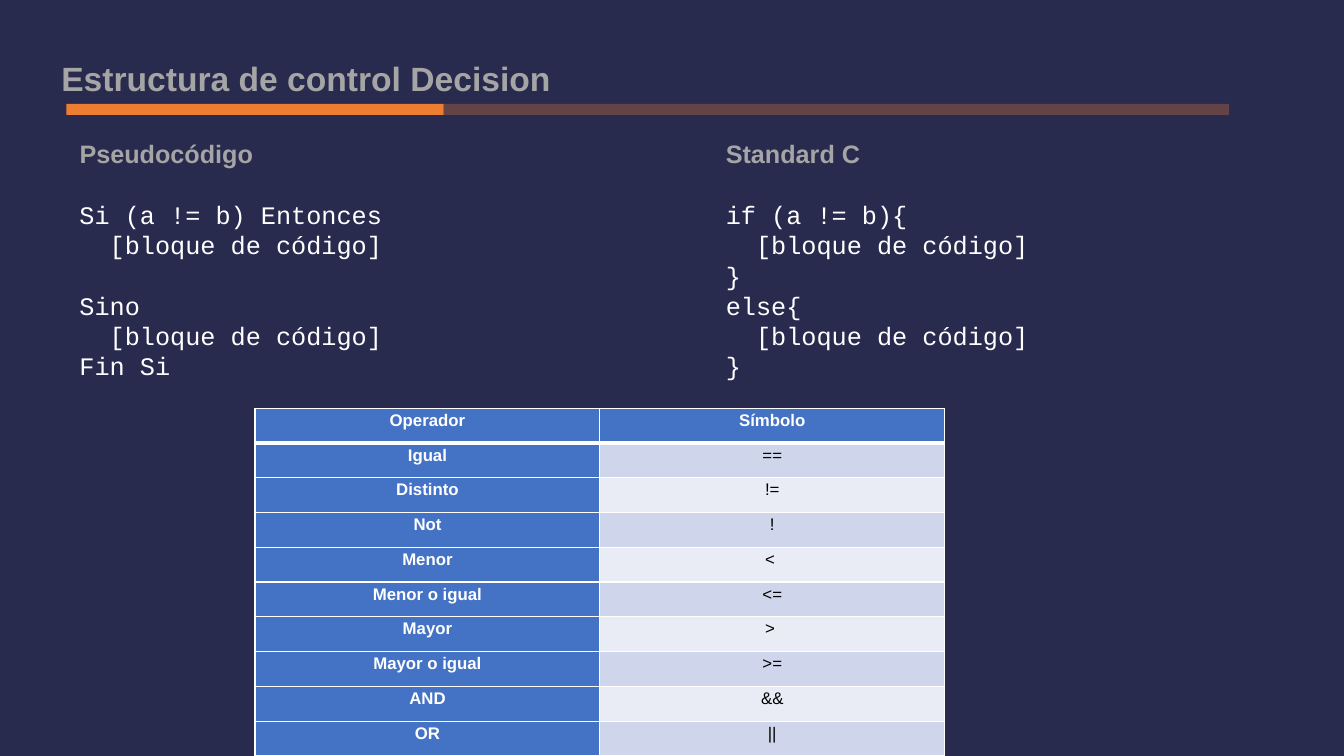
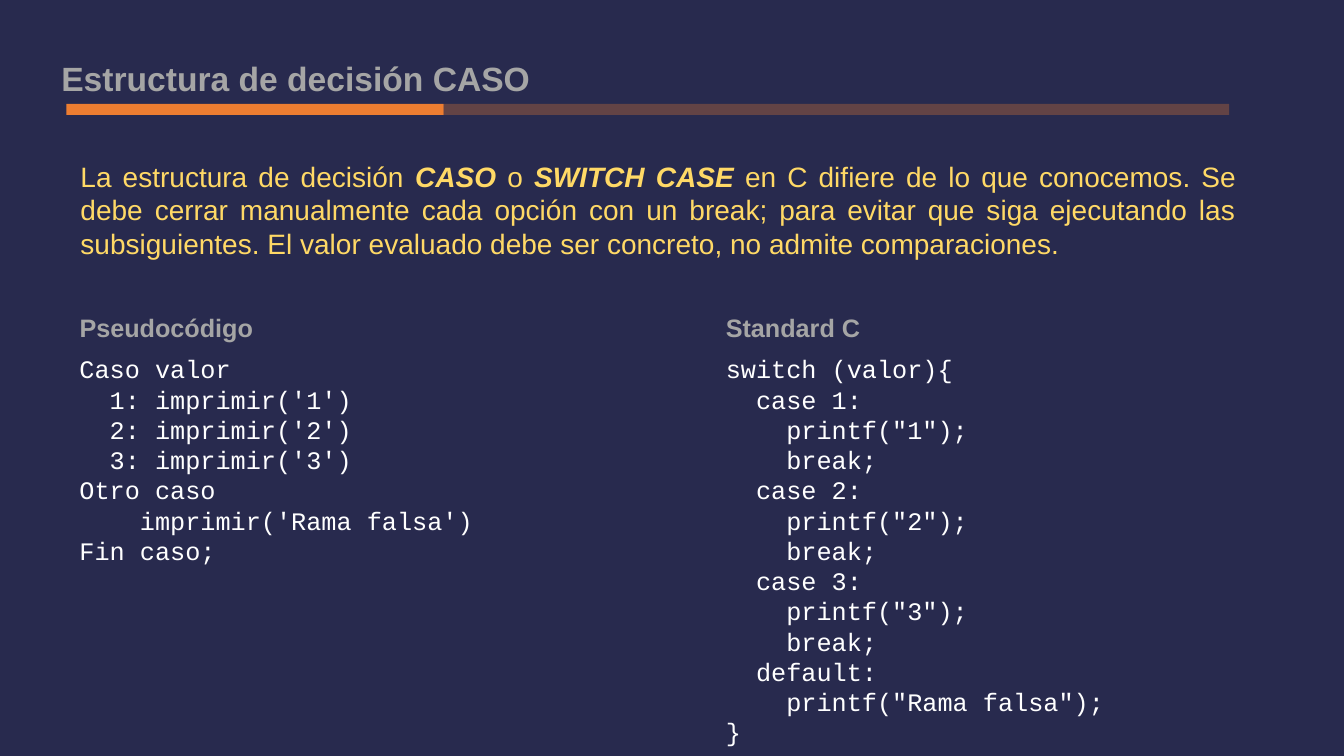
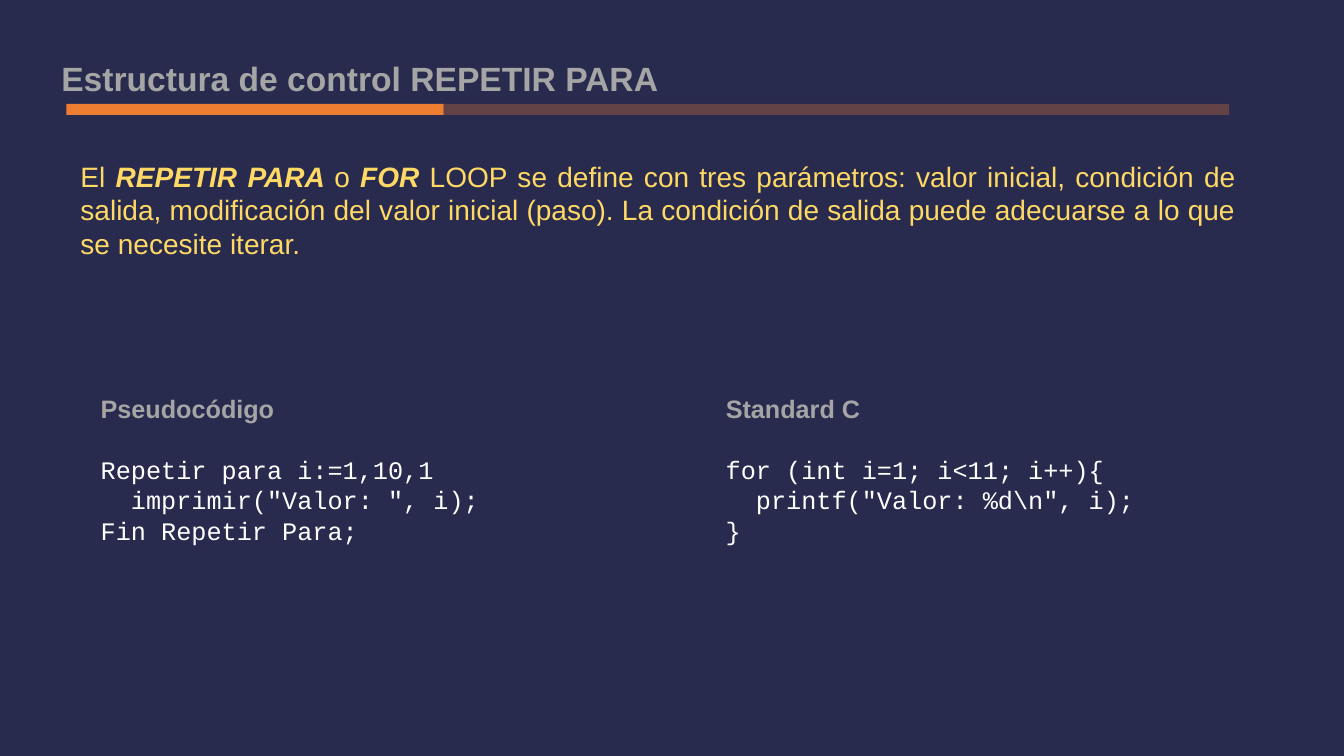
from dataclasses import dataclass

import pptx
import pptx.dml.color
import pptx.enum.shapes
import pptx.enum.text
import pptx.oxml
import pptx.oxml.ns
import pptx.util
from pptx.util import Inches, Pt

COLORS = {
    "background": "282A4E",
    "heading": "A5A5A5",
    "accent": "ED7D31",
    "intro": "FFD966",
    "white": "FFFFFF",
    "black": "000000",
    "table_head": "4472C4",
    "band_dark": "CFD5EA",
    "band_light": "E9EBF5",
}
SANS, MONO = "Arial", "Courier New"
CODE_SIZE = 18
CHAR_WIDTH = 0.15  # one monospaced character at CODE_SIZE, in inches
LINE_HEIGHT = 0.3
OPERATORS = [
    ("Operador", "Símbolo"),
    ("Igual", "=="),
    ("Distinto", "!="),
    ("Not", "!"),
    ("Menor", "< "),
    ("Menor o igual", "<="),
    ("Mayor", "> "),
    ("Mayor o igual", ">="),
    ("AND", "&&"),
    ("OR", "||"),
]


@dataclass
class Listing:
    """A column of code; leading spaces and empty lines in code become indents and gaps."""
    heading: str
    left: float
    width: float
    code: str


@dataclass
class Topic:
    title: str
    heading_top: float
    code_top: float
    listings: list[Listing]
    intro: str = ""  # parts between asterisks are emphasised


TOPICS = [
    Topic("Estructura de control Decision", 1.32, 1.93, [
        Listing("Pseudocódigo", 0.69, 5.36, """\
Si (a != b) Entonces
  [bloque de código]

Sino
  [bloque de código]
Fin Si"""),
        Listing("Standard C", 7.1, 5.52, """\
if (a != b){
  [bloque de código]
}
else{
  [bloque de código]
}"""),
    ]),
    Topic("Estructura de decisión CASO", 3.05, 3.46, [
        Listing("Pseudocódigo", 0.69, 5.36, """\
Caso valor
  1: imprimir('1')
  2: imprimir('2')
  3: imprimir('3')
Otro caso
    imprimir('Rama falsa')
Fin caso;"""),
        Listing("Standard C", 7.1, 5.52, """\
switch (valor){
  case 1:
    printf("1");
    break;
  case 2:
    printf("2");
    break;
  case 3:
    printf("3");
    break;
  default:
    printf("Rama falsa");
}"""),
    ], "La estructura de decisión *CASO* o *SWITCH CASE *en C difiere de lo que conocemos. "
       "Se debe cerrar manualmente cada opción con un break; para evitar que siga ejecutando "
       "las subsiguientes. El valor evaluado debe ser concreto, no admite comparaciones."),
    Topic("Estructura de control REPETIR PARA", 3.85, 4.46, [
        Listing("Pseudocódigo", 0.9, 5.91, """\
Repetir para i:=1,10,1
  imprimir("Valor: ", i);
Fin Repetir Para;"""),
        Listing("Standard C", 7.1, 6.13, """\
for (int i=1; i<11; i++){
  printf("Valor: %d\\n", i);
}"""),
    ], "El *REPETIR PARA *o *FOR* LOOP se define con tres parámetros: valor inicial, "
       "condición de salida, modificación del valor inicial (paso). La condición de salida "
       "puede adecuarse a lo que se necesite iterar."),
]


def rgb(name: str) -> pptx.dml.color.RGBColor:
    return pptx.dml.color.RGBColor.from_string(COLORS[name])


def style_font(font, size: float, color: str, name: str = SANS, bold: bool = False) -> None:
    font.size = Pt(size)
    font.name = name
    font.bold = bold
    font.color.rgb = rgb(color)


def add_text_frame(s, left: float, top: float, width: float, height: float):
    tf = s.shapes.add_textbox(Inches(left), Inches(top), Inches(width), Inches(height)).text_frame
    tf.word_wrap = True
    tf.auto_size = pptx.enum.text.MSO_AUTO_SIZE.SHAPE_TO_FIT_TEXT
    return tf


def add_heading(s, text: str, left: float, top: float, width: float, height: float,
                size: float) -> None:
    tf = add_text_frame(s, left, top, width, height)
    tf.text = text
    style_font(tf.paragraphs[0].runs[0].font, size, "heading", bold=True)


def add_bar(s, left: float, width: float, opacity: int = 100) -> None:
    """Draw one part of the rule under the title; opacity is a percentage."""
    sp = s.shapes.add_shape(pptx.enum.shapes.MSO_SHAPE.RECTANGLE,
                            Inches(left), Inches(1.03), Inches(width), Inches(0.11))
    sp.shadow.inherit = False
    sp.line.fill.background()
    sp.fill.solid()
    sp.fill.fore_color.rgb = rgb("accent")
    if opacity < 100:
        color = sp.fill._xPr.find(".//" + pptx.oxml.ns.qn("a:srgbClr"))
        alpha = pptx.oxml.parse_xml(
            f'<a:alpha {pptx.oxml.ns.nsdecls("a")} val="{opacity * 1000}"/>')
        color.append(alpha)


def add_intro(s, text: str) -> None:
    p = add_text_frame(s, 0.7, 1.53, 11.66, 1.11).paragraphs[0]
    p.alignment = pptx.enum.text.PP_ALIGN.JUSTIFY
    for i, part in enumerate(text.split("*")):
        r = p.add_run()
        r.text = part
        emphasised = i % 2 == 1
        style_font(r.font, 20, "intro", bold=emphasised)
        r.font.italic = emphasised


def add_code(s, listing: Listing, top: float) -> None:
    lines = listing.code.split("\n")
    tf = add_text_frame(s, listing.left, top, listing.width, len(lines) * LINE_HEIGHT + 0.1)
    tf.text = "\n".join(line.strip() for line in lines if line)
    paragraphs = iter(tf.paragraphs)
    gap = 0.0
    for line in lines:
        if not line:
            gap += LINE_HEIGHT
            continue
        p = next(paragraphs)
        style_font(p.runs[0].font, CODE_SIZE, "white", MONO)
        indent = len(line) - len(line.lstrip())
        if indent:
            p._p.get_or_add_pPr().set("marL", str(Inches(indent * CHAR_WIDTH)))
        if gap:
            p.space_before = Pt(gap * 72)
            gap = 0.0


def set_borders(cell, top: float, bottom: float) -> None:
    """Give a cell white borders, 1 pt at the sides; top and bottom are in points."""
    tcPr = cell._tc.get_or_add_tcPr()
    for side, width in (("L", 1), ("R", 1), ("T", top), ("B", bottom)):
        tcPr.append(pptx.oxml.parse_xml(
            f'<a:ln{side} {pptx.oxml.ns.nsdecls("a")} w="{Pt(width)}"><a:solidFill>'
            f'<a:srgbClr val="{COLORS["white"]}"/></a:solidFill></a:ln{side}>'))


def add_operator_table(s) -> None:
    table = s.shapes.add_table(len(OPERATORS), 2, Inches(2.53), Inches(4.05),
                               Inches(6.84), Inches(3.45)).table
    for i, row in enumerate(OPERATORS):
        for j, text in enumerate(row):
            cell = table.cell(i, j)
            is_head = i == 0 or j == 0
            band = "band_dark" if i % 2 else "band_light"
            set_borders(cell, top=3 if i == 1 else 1, bottom=3 if i == 0 else 1)
            cell.fill.solid()
            cell.fill.fore_color.rgb = rgb("table_head" if is_head else band)
            cell.margin_left = cell.margin_right = Inches(0.07)
            cell.margin_top = cell.margin_bottom = 0
            cell.text_frame.text = text
            p = cell.text_frame.paragraphs[0]
            p.alignment = pptx.enum.text.PP_ALIGN.CENTER
            p.line_spacing = 1.15
            style_font(p.runs[0].font, 12, "white" if is_head else "black", bold=is_head)


def add_topic_slide(prs, topic: Topic):
    s = prs.slides.add_slide(prs.slide_layouts[6])
    add_heading(s, topic.title, 0.51, 0.53, 7.28, 0.5, 24)
    add_bar(s, 0.66, 3.74)
    add_bar(s, 4.4, 7.79, opacity=30)
    if topic.intro:
        add_intro(s, topic.intro)
    for listing in topic.listings:
        add_heading(s, listing.heading, listing.left, topic.heading_top, 3.31, 0.4, 18)
        add_code(s, listing, topic.code_top)
    return s


def main() -> None:
    prs = pptx.Presentation()
    prs.slide_width, prs.slide_height = Inches(13.33), Inches(7.5)
    fill = prs.slide_master.background.fill
    fill.solid()
    fill.fore_color.rgb = rgb("background")
    decision, *_ = [add_topic_slide(prs, topic) for topic in TOPICS]
    add_operator_table(decision)
    prs.save("out.pptx")


if __name__ == "__main__":
    main()
